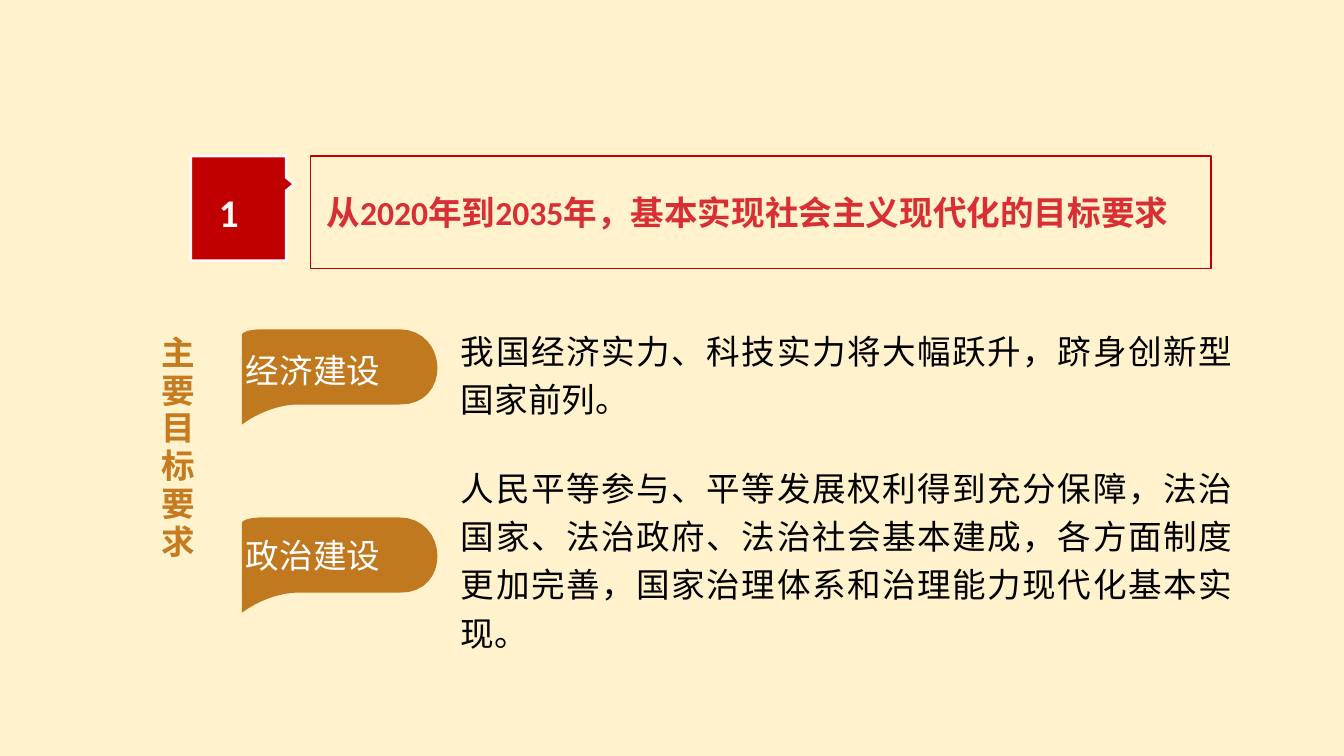
from pptx import Presentation
from pptx.dml.color import RGBColor
from pptx.enum.text import MSO_ANCHOR, MSO_AUTO_SIZE, PP_ALIGN
from pptx.util import Inches, Pt

JUSTIFY, LEFT = PP_ALIGN.JUSTIFY, PP_ALIGN.LEFT
TOP, MIDDLE = MSO_ANCHOR.TOP, MSO_ANCHOR.MIDDLE
NO_FIT = MSO_AUTO_SIZE.NONE
TITLE_ONLY = 5

CREAM, RED, TITLE_RED = "FFF2CC", "C00000", "D72F34"
OCHRE, LABEL_OCHRE = "C0791F", "C57B20"
BLACK, WHITE, OFF_WHITE = "000000", "FFFFFF", "F8F8F8"

TOPICS = [  # bubble top, label top, label, text top, text height, text
    (2.45, 2.56, "经济建设", 2.36, 0.8,
     "我国经济实力、科技实力将大幅跃升，跻身创新型国家前列。"),
    (3.85, 3.94, "政治建设", 3.38, 1.53,
     "人民平等参与、平等发展权利得到充分保障，法治国家、法治政府、"
     "法治社会基本建成，各方面制度更加完善，国家治理体系和治理能力"
     "现代化基本实现。"),
]


def color(value):
    return RGBColor.from_string(value)


def bezier(a, b, c, d, steps=16):
    """Points on a cubic curve, without its first point."""
    points = []
    for i in range(1, steps + 1):
        t = i / steps
        u = 1 - t
        points.append(tuple(u**3 * w + 3 * u * u * t * x + 3 * u * t * t * y + t**3 * z
                            for w, x, y, z in zip(a, b, c, d)))
    return points


def write(tf, text, size=18, font="Calibri", fill=BLACK, bold=False, align=LEFT,
          line_spacing=None, tracking=None, inset=(0.07, 0.04), anchor=TOP, wrap=True):
    tf.word_wrap = wrap
    tf.auto_size = NO_FIT
    tf.vertical_anchor = anchor
    tf.margin_left = tf.margin_right = Inches(inset[0])
    tf.margin_top = tf.margin_bottom = Inches(inset[1])
    p = tf.paragraphs[0]
    p.alignment = align
    if line_spacing:
        p.line_spacing = line_spacing
    r = p.add_run()
    r.text = text
    r.font.size, r.font.name, r.font.bold = Pt(size), font, bold
    r.font.color.rgb = color(fill)
    if tracking:
        r.font._element.set("spc", str(round(tracking * 100)))


class Deck:
    def __init__(self, width, height):
        self.prs = Presentation()
        self.prs.slide_width, self.prs.slide_height = Inches(width), Inches(height)

    def add_slide(self, background):
        self.s = self.prs.slides.add_slide(self.prs.slide_layouts[TITLE_ONLY])
        fill = self.s.background.fill
        fill.solid()
        fill.fore_color.rgb = color(background)

    def title(self, text, x, y, w, h, border):
        sp = self.s.shapes.title
        sp.left, sp.top, sp.width, sp.height = map(Inches, (x, y, w, h))
        sp.line.color.rgb = color(border)
        sp.line.width = Pt(0.75)
        write(sp.text_frame, text, fill=TITLE_RED, bold=True, align=JUSTIFY,
              inset=(0.12, 0.12), anchor=MIDDLE)

    def text(self, text, x, y, w, h, vertical=False, **style):
        tf = self.s.shapes.add_textbox(*map(Inches, (x, y, w, h))).text_frame
        write(tf, text, **style)
        if vertical:
            tf._txBody.bodyPr.set("vert", "eaVert")

    def outline(self, points, fill, line=None):
        """Closed freeform through points given in inches."""
        start, *rest = [(Inches(x), Inches(y)) for x, y in points]
        builder = self.s.shapes.build_freeform(*start)
        builder.add_line_segments(rest, close=True)
        sp = builder.convert_to_shape()
        sp.shadow.inherit = False
        sp.fill.solid()
        sp.fill.fore_color.rgb = color(fill)
        if line:
            sp.line.color.rgb = color(line)
            sp.line.width = Pt(1.5)
        else:
            sp.line.fill.background()

    def bubble(self, x, y):
        points = [(0, 0.71), (0, 0.04)]
        points += bezier((0, 0.04), (0.01, 0.01), (0.1, 0), (0.15, 0))
        points.append((1.17, 0))
        points += bezier((1.17, 0), (1.54, 0), (1.56, 0.57), (1.17, 0.56))
        points.append((0.42, 0.56))
        points += bezier((0.42, 0.56), (0.28, 0.56), (0.12, 0.62), (0, 0.71))
        self.outline([(x + dx, y + dy) for dx, dy in points[:-1]], OCHRE)


def main():
    deck = Deck(10, 5.625)
    deck.add_slide(CREAM)
    deck.title("从2020年到2035年，基本实现社会主义现代化的目标要求",
               2.31, 1.16, 6.7, 0.84, RED)
    deck.outline([(2.19, 1.37), (2.13, 1.32), (2.13, 1.16), (1.42, 1.16),
                  (1.42, 1.94), (2.13, 1.94), (2.13, 1.42)], RED, OFF_WHITE)
    deck.text("1", 1.53, 1.35, 0.55, 0.45, size=21, fill=OFF_WHITE, bold=True,
              inset=(0.1, 0.05))
    deck.text("主要目标要求", 1.08, 2.46, 0.52, 2.34, vertical=True, fill=LABEL_OCHRE,
              bold=True, align=JUSTIFY, line_spacing=1.2, tracking=2.2)
    for bubble_y, label_y, label, text_y, text_h, text in TOPICS:
        deck.bubble(1.8, bubble_y)
        deck.text(label, 1.76, label_y, 1.16, 0.38, font="Arial", fill=WHITE, wrap=False)
        deck.text(text, 3.35, text_y, 5.9, text_h, align=JUSTIFY, line_spacing=1.2,
                  inset=(0.08, 0.04))
    deck.prs.save("out.pptx")


if __name__ == "__main__":
    main()
